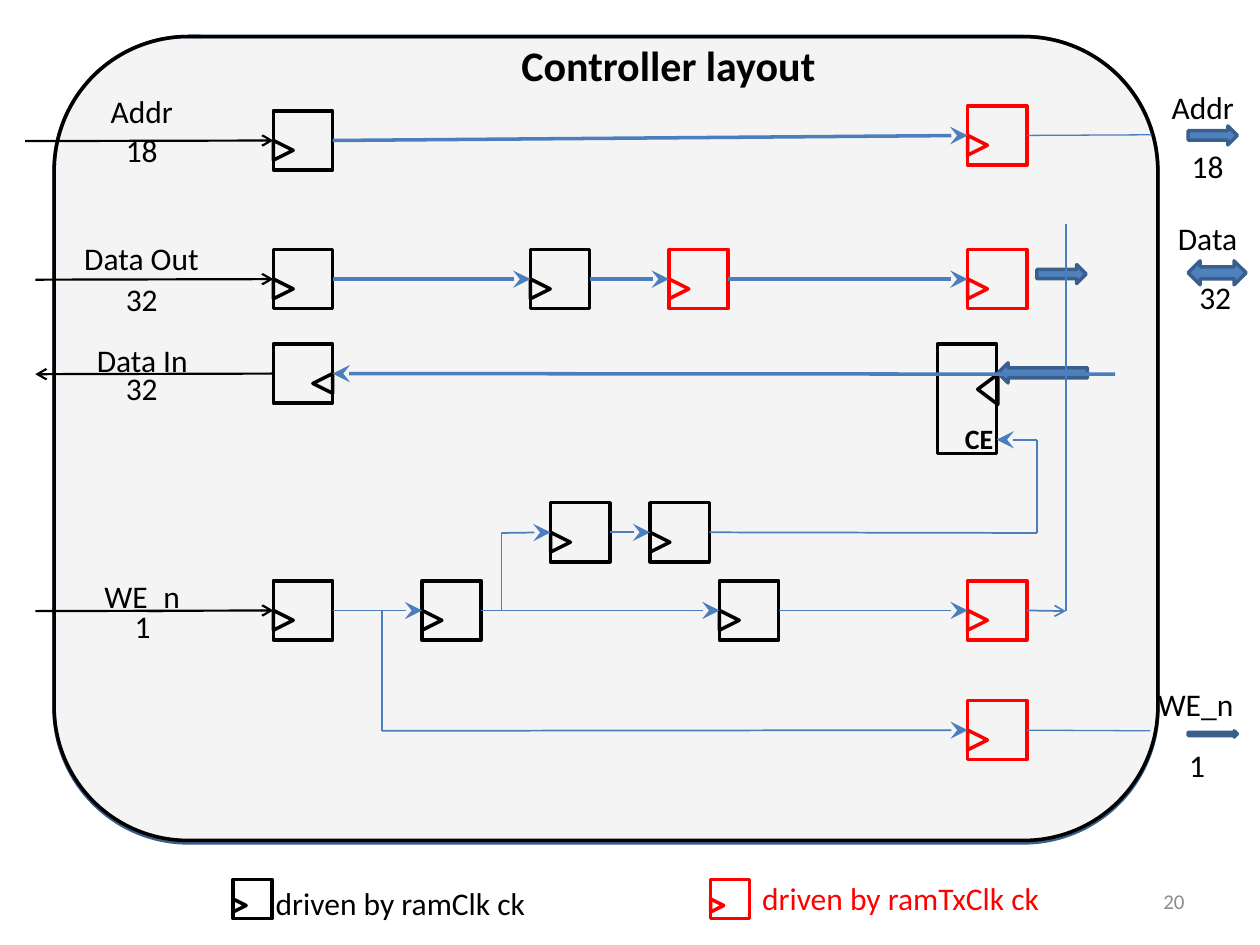
from dataclasses import dataclass

from lxml import etree
from pptx import Presentation
from pptx.dml.color import RGBColor
from pptx.enum.shapes import MSO_CONNECTOR, MSO_SHAPE
from pptx.enum.text import MSO_ANCHOR, MSO_AUTO_SIZE, PP_ALIGN
from pptx.oxml.ns import qn
from pptx.util import Inches, Pt

RECT, TRIANGLE = MSO_SHAPE.RECTANGLE, MSO_SHAPE.ISOSCELES_TRIANGLE
ROUNDED = MSO_SHAPE.ROUNDED_RECTANGLE
RIGHT_ARROW, LEFT_ARROW = MSO_SHAPE.RIGHT_ARROW, MSO_SHAPE.LEFT_ARROW
BOTH_ARROW = MSO_SHAPE.LEFT_RIGHT_ARROW
STRAIGHT = MSO_CONNECTOR.STRAIGHT
LEFT, RIGHT = 1, 3  # connection sites of a rectangle


@dataclass(frozen=True)
class Theme:
    font: str = "Calibri"
    black: str = "000000"
    red: str = "FF0000"
    wire: str = "4B7EBC"
    bus: str = "4F81BD"
    bus_edge: str = "3A5F8C"
    panel_back: str = "F2F2F2"
    panel_front: str = "BFBFBF"
    grey: str = "8C8C8C"
    title: int = 24
    label: int = 18
    enable: int = 16
    number: int = 12


T = Theme()
prs = Presentation()
prs.slide_width, prs.slide_height = Inches(10), Inches(7.5)
s = prs.slides.add_slide(prs.slide_layouts[5])


def add_outlined(kind, x, y, w, h, line, fill=None, rotation=0):
    sp = s.shapes.add_shape(kind, Inches(x), Inches(y), Inches(w), Inches(h))
    sp.shadow.inherit = False
    sp.rotation = rotation
    sp.line.color.rgb = RGBColor.from_string(line)
    sp.line.width = Pt(2)
    if fill:
        sp.fill.solid()
        sp.fill.fore_color.rgb = RGBColor.from_string(fill)
    else:
        sp.fill.background()
    return sp


def add_run(p, text, size, color, bold=False):
    r = p.add_run()
    r.text = text
    r.font.name, r.font.size, r.font.bold = T.font, Pt(size), bold
    r.font.color.rgb = RGBColor.from_string(color)


# Controller outline
for height, line, fill, alpha in [
    (6.4, T.bus_edge, T.panel_back, 23),
    (6.38, T.black, T.panel_front, 11),
]:
    panel = add_outlined(ROUNDED, 0.43, 0.29, 8.76, height, line, fill)
    clr = panel.element.spPr.find(qn("a:solidFill"))[0]
    etree.SubElement(clr, qn("a:alpha")).set("val", str(alpha * 1000))

# Title, brought in front of the outline
title = s.shapes.title
title.element.getparent().append(title.element)
title.left, title.top = Inches(3.27), Inches(0.36)
title.width, title.height = Inches(4.07), Inches(0.31)
tf = title.text_frame
tf.auto_size = MSO_AUTO_SIZE.NONE
tf.vertical_anchor = MSO_ANCHOR.MIDDLE
tf.paragraphs[0].alignment = PP_ALIGN.CENTER
add_run(tf.paragraphs[0], "Controller layout", T.title, T.black, True)

# Flip-flops: a square with a clock triangle on its left or right edge
FF, KEY = 0.47, 0.31
flops = {}
for name, x, y, size, color, side in [
    ("addr_in", 2.17, 0.88, FF, T.black, LEFT),
    ("addr_out", 7.68, 0.84, FF, T.red, LEFT),
    ("dout_in", 2.17, 1.98, FF, T.black, LEFT),
    ("dout_mid", 4.21, 1.98, FF, T.black, LEFT),
    ("dout_tx", 5.31, 1.98, FF, T.red, LEFT),
    ("dout_out", 7.68, 1.98, FF, T.red, LEFT),
    ("din", 2.17, 2.73, FF, T.black, RIGHT),
    ("ce_1", 4.37, 3.99, FF, T.black, LEFT),
    ("ce_2", 5.16, 3.99, FF, T.black, LEFT),
    ("we_in", 2.17, 4.61, FF, T.black, LEFT),
    ("we_1", 3.35, 4.61, FF, T.black, LEFT),
    ("we_2", 5.71, 4.61, FF, T.black, LEFT),
    ("we_oe", 7.68, 4.61, FF, T.red, LEFT),
    ("we_out", 7.68, 5.56, FF, T.red, LEFT),
    ("key_ram", 1.85, 6.98, KEY, T.black, LEFT),
    ("key_tx", 5.64, 6.98, KEY, T.red, LEFT),
]:
    flops[name] = add_outlined(RECT, x, y, size, size, color)
    tri = size / 3
    tri_x, turn = (x, 90) if side == LEFT else (x + size - tri, 270)
    add_outlined(TRIANGLE, tri_x, y + size / 2, tri, tri, color, rotation=turn)

# Input register with clock enable
add_outlined(RECT, 7.44, 2.73, 0.47, 0.87, T.black)
add_outlined(TRIANGLE, 7.72, 3.01, 0.24, 0.16, T.black, rotation=270)

# Buses
for kind, x, y, w, h in [
    (RIGHT_ARROW, 8.23, 2.1, 0.39, 0.15),
    (LEFT_ARROW, 7.92, 2.88, 0.71, 0.16),
    (BOTH_ARROW, 9.43, 2.07, 0.46, 0.19),
    (RIGHT_ARROW, 9.43, 1, 0.39, 0.15),
    (RIGHT_ARROW, 9.43, 5.8, 0.39, 0.05),
]:
    add_outlined(kind, x, y, w, h, T.bus_edge, T.bus)

# Wires: each end is a point or a (flip-flop, side) pair
for start, end, color, width, head in [
    ((8.46, 1.78), (8.46, 4.85), T.wire, 0.75, None),
    (("we_oe", RIGHT), (8.46, 4.85), T.wire, 1, "arrow"),
    (("addr_out", RIGHT), (9.14, 1.07), T.wire, 0.75, None),
    (("we_out", RIGHT), (9.13, 5.8), T.wire, 0.75, None),
    (("addr_in", RIGHT), ("addr_out", LEFT), T.wire, 2, "stealth"),
    ((8.85, 2.97), ("din", RIGHT), T.wire, 2, "stealth"),
    (("dout_in", RIGHT), ("dout_mid", LEFT), T.wire, 2, "stealth"),
    (("dout_mid", RIGHT), ("dout_tx", LEFT), T.wire, 2, "stealth"),
    (("dout_tx", RIGHT), ("dout_out", LEFT), T.wire, 2, "stealth"),
    (("we_in", RIGHT), ("we_1", LEFT), T.wire, 1, "stealth"),
    (("we_1", RIGHT), ("we_2", LEFT), T.wire, 1, "stealth"),
    (("we_2", RIGHT), ("we_oe", LEFT), T.wire, 1, "stealth"),
    ((3.98, 4.85), (3.98, 4.23), T.wire, 1, None),
    ((3.98, 4.23), ("ce_1", LEFT), T.wire, 1, "stealth"),
    (("ce_1", RIGHT), ("ce_2", LEFT), T.wire, 1, "stealth"),
    (("ce_2", RIGHT), (8.23, 4.23), T.wire, 1, None),
    ((8.23, 4.23), (8.23, 3.49), T.wire, 1, None),
    ((8.23, 3.49), (7.91, 3.49), T.wire, 1, "stealth"),
    ((3.03, 5.8), (3.03, 4.84), T.wire, 1, None),
    ((3.03, 5.8), ("we_out", LEFT), T.wire, 1, "stealth"),
    ((0.2, 1.12), ("addr_in", LEFT), T.black, 1.25, "arrow"),
    ((0.28, 2.22), ("dout_in", LEFT), T.black, 1.25, "arrow"),
    (("din", LEFT), (0.28, 2.97), T.black, 1.25, "arrow"),
    ((0.28, 4.85), ("we_in", LEFT), T.black, 1.25, "arrow"),
]:
    cx = s.shapes.add_connector(STRAIGHT, 0, 0, 0, 0)
    if start[0] in flops:
        cx.begin_connect(flops[start[0]], start[1])
    else:
        cx.begin_x, cx.begin_y = Inches(start[0]), Inches(start[1])
    if end[0] in flops:
        cx.end_connect(flops[end[0]], end[1])
    else:
        cx.end_x, cx.end_y = Inches(end[0]), Inches(end[1])
    cx.line.color.rgb = RGBColor.from_string(color)
    cx.line.width = Pt(width)
    if head:
        size = "lg" if head == "stealth" else "med"
        tail = etree.SubElement(cx.line._get_or_add_ln(), qn("a:tailEnd"))
        for key, value in [("type", head), ("w", size), ("len", size)]:
            tail.set(key, value)
    etree.SubElement(cx.element.spPr, qn("a:effectLst"))

# Labels
for text, x, y, w, size, color in [
    ("Addr", 9.2, 0.65, 0.7, T.label, T.black),
    ("18", 9.36, 1.12, 0.46, T.label, T.black),
    ("Data", 9.25, 1.69, 0.68, T.label, T.black),
    ("32", 9.42, 2.16, 0.46, T.label, T.black),
    ("WE_n", 9.09, 5.39, 0.81, T.label, T.black),
    ("1", 9.34, 5.87, 0.33, T.label, T.black),
    ("Addr", 0.78, 0.68, 0.7, T.label, T.black),
    ("18", 0.9, 0.99, 0.46, T.label, T.black),
    ("Data Out", 0.57, 1.85, 1.12, T.label, T.black),
    ("32", 0.9, 2.17, 0.46, T.label, T.black),
    ("Data In", 0.67, 2.66, 0.93, T.label, T.black),
    ("32", 0.9, 2.88, 0.46, T.label, T.black),
    ("WE_n", 0.73, 4.53, 0.81, T.label, T.black),
    ("1", 0.97, 4.77, 0.33, T.label, T.black),
    ("CE", 7.56, 3.3, 0.43, T.enable, T.black),
    ("driven by ramClk ck", 2.09, 6.97, 2.2, T.label, T.black),
    ("driven by ramTxClk ck", 5.95, 6.93, 2.42, T.label, T.red),
    ("20", 7.17, 6.95, 2.33, T.number, T.grey),
]:
    tb = s.shapes.add_textbox(Inches(x), Inches(y), Inches(w), Inches(0.4))
    tf = tb.text_frame
    p = tf.paragraphs[0]
    if size == T.number:
        tf.word_wrap, tf.vertical_anchor = True, MSO_ANCHOR.MIDDLE
        p.alignment = PP_ALIGN.RIGHT
    else:
        tf.word_wrap, tf.auto_size = False, MSO_AUTO_SIZE.SHAPE_TO_FIT_TEXT
    add_run(p, text, size, color, bold=size == T.enable)

prs.save("out.pptx")
